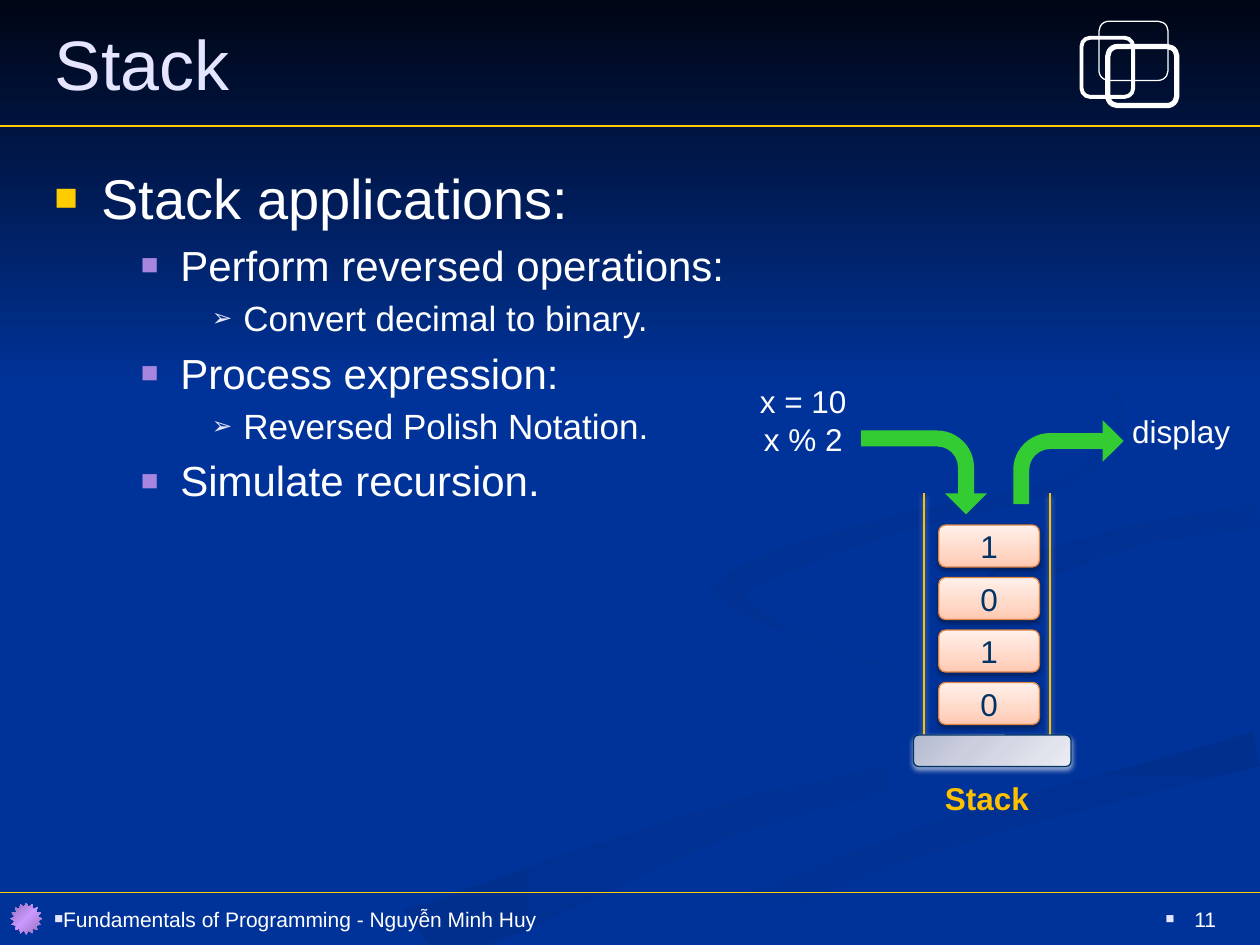
import math

from lxml import etree
from pptx import Presentation
from pptx import util as u
from pptx.dml.color import RGBColor
from pptx.enum import shapes, text
from pptx.oxml import ns

Pt = u.Pt
KIND = shapes.MSO_SHAPE
ALIGN = text.PP_ALIGN
FONT = "Arial"
C = {
    "back": "003399", "night": "000514", "rule": "FFCC00", "white": "FFFFFF",
    "title": "E5E5FF", "lilac": "A886E0", "gold": "FFC000", "green": "33CC33",
    "item": "003366", "item_edge": "DD8443", "base_edge": "003264", "black": "000000",
    "ribbon": "002F8E",
}
STAR = [(0, "926DB6"), (50, "CC99FF"), (100, "926DB6")]
BASE = [(0, "B3B9D0"), (35, "CACEDD"), (100, "EBECF3")]
ITEM = [(0, "FFC8B1"), (35, "FFD8C8"), (100, "FFF0EA")]
RIBBON = [(0, C["ribbon"]), (100, C["back"])]
BASE_SHADOW = (C["white"], 60)
ITEM_SHADOW = (C["black"], 38)

RIBBONS = [
    (RIBBON[::-1], 0, [(414, 331, 0), (412, 340, 2), (470, 369, 1), (545, 395, 2),
                       (570, 415, 6), (522, 441, 8), (412, 470, 10), (238, 539, 20)]),
    (RIBBON, 90, [(719, 428, 10), (597, 460, 8), (510, 487, 8), (386, 538, 10)]),
    (RIBBON, 45, [(719, 295, 7), (645, 307, 6), (571, 335, 9), (595, 357, 0)]),
    (RIBBON, 45, [(549, 168, 0), (609, 197, 1), (641, 238, 2), (606, 276, 4),
                  (507, 301, 5), (421, 334, 7), (448, 360, 0)]),
]
CURVE_STEPS = 8
EMBLEM = [((618, 21.6, 29.5, 33.8), 2.25), ((628, 12.2, 39.5, 33.8), 0.75),
          ((633, 26.6, 39.5, 33.8), 3)]

LEVELS = [
    {"size": 32, "left": 27, "hang": 27, "mark": "■", "mark_color": C["rule"]},
    {"size": 24, "left": 72, "hang": 22.5, "mark": "■", "mark_color": C["lilac"]},
    {"size": 20, "left": 108, "hang": 18, "mark": "➢", "mark_color": C["title"]},
]
OUTLINE = [
    (0, "Stack applications:"),
    (1, "Perform reversed operations:"),
    (2, "Convert decimal to binary."),
    (1, "Process expression:"),
    (2, "Reversed Polish Notation."),
    (1, "Simulate recursion."),
]
FOOTERS = [
    ("11", (534, 510, 168, 30), ALIGN.RIGHT, 16.5),
    ("Fundamentals of Programming - Nguyễn Minh Huy", (24, 510, 498, 30), ALIGN.LEFT, 0),
]
LABELS = [
    ("Stack", (480, 438, 168, 36), C["gold"], True),
    ("x = 10\nx % 2", (420, 216, 78, 48), C["white"], False),
    ("display", (636, 222, 78, 48), C["white"], False),
]
STACK_ITEMS = ["1", "0", "1", "0"]
ITEM_TOP, ITEM_STEP = 300, 30
ARROWS = [((504, 234, 48, 72), 90), ((579, 240, 63, 48), 0)]


def rgb(color):
    return RGBColor.from_string(color)


def sub(parent, tag, **attrs):
    return etree.SubElement(parent, ns.qn(tag), {k: str(v) for k, v in attrs.items()})


def add_gradient(sp, stops, angle):
    sp.fill.solid()
    props = sp._element.spPr
    grad = etree.Element(ns.qn("a:gradFill"), rotWithShape="1")
    stop_list = sub(grad, "a:gsLst")
    for pos, color in stops:
        sub(sub(stop_list, "a:gs", pos=pos * 1000), "a:srgbClr", val=color)
    sub(grad, "a:lin", ang=angle * 60000, scaled=0)
    props.replace(props.find(ns.qn("a:solidFill")), grad)


def set_effect(sp, shadow=None):
    props = sp._element.spPr
    effects = props.find(ns.qn("a:effectLst"))
    if effects is None:
        effects = sub(props, "a:effectLst")
    if shadow:
        color, alpha = shadow
        outer = sub(effects, "a:outerShdw", blurRad=Pt(3.1), dist=Pt(1.6),
                    dir=90 * 60000, rotWithShape=0)
        sub(sub(outer, "a:srgbClr", val=color), "a:alpha", val=alpha * 1000)


def finish(sp, fill=None, angle=0, line=None, width=0.75, shadow=None):
    if isinstance(fill, list):
        add_gradient(sp, fill, angle)
    elif fill:
        sp.fill.solid()
        sp.fill.fore_color.rgb = rgb(fill)
    else:
        sp.fill.background()
    if line:
        sp.line.color.rgb = rgb(line)
        sp.line.width = Pt(width)
    else:
        sp.line.fill.background()
    sp.shadow.inherit = False
    set_effect(sp, shadow)
    return sp


def add_preset(s, kind, box, **look):
    return finish(s.shapes.add_shape(kind, *map(Pt, box)), **look)


def add_line(s, x1, y1, x2, y2, color, shadow=None):
    line = s.shapes.add_connector(shapes.MSO_CONNECTOR.STRAIGHT, *map(Pt, (x1, y1, x2, y2)))
    line.line.color.rgb = rgb(color)
    line.line.width = Pt(0.75)
    set_effect(line, shadow)


def smooth_curve(knots):
    ends = [knots[0], *knots, knots[-1]]
    curve = []
    for a, b, c, d in zip(ends, ends[1:], ends[2:], ends[3:]):
        for t in (i / CURVE_STEPS for i in range(CURVE_STEPS)):
            curve.append(tuple(
                q + t * (r - p + t * (2 * p - 5 * q + 4 * r - n + t * (3 * (q - r) + n - p))) / 2
                for p, q, r, n in zip(a, b, c, d)))
    return curve + [knots[-1]]


def ribbon_outline(knots):
    curve = smooth_curve(knots)
    left, right = [], []
    for before, (x, y, half), after in zip([curve[0]] + curve, curve, curve[1:] + curve[-1:]):
        dx, dy = after[0] - before[0], after[1] - before[1]
        scale = max(half, 0) / math.hypot(dx, dy)
        left.append((x - dy * scale, min(y + dx * scale, 540)))
        right.append((x + dy * scale, min(y - dx * scale, 540)))
    return [(min(x, 720), y) for x, y in left + right[::-1]]


def set_bullet(p, mark, color, left, hang):
    props = p._p.get_or_add_pPr()
    props.set("marL", str(Pt(left)))
    props.set("indent", str(-Pt(hang)))
    sub(sub(props, "a:buClr"), "a:srgbClr", val=color)
    sub(props, "a:buSzPct", val=70000)
    sub(props, "a:buFont", typeface=FONT)
    sub(props, "a:buChar", char=mark)


def style(p, size, color, bold=False, align=ALIGN.LEFT):
    p.alignment = align
    for r in p.runs:
        r.font.name, r.font.size, r.font.bold = FONT, Pt(size), bold
        r.font.color.rgb = rgb(color)


def fill_text(sp, words, size, color, bold=False, align=ALIGN.CENTER, wrap=False):
    tf = sp.text_frame
    tf.text = words
    tf.word_wrap = wrap
    tf.vertical_anchor = text.MSO_ANCHOR.MIDDLE
    for p in tf.paragraphs:
        style(p, size, color, bold, align)
    return tf


def add_backdrop(s):
    s.background.fill.solid()
    s.background.fill.fore_color.rgb = rgb(C["back"])
    for stops, angle, knots in RIBBONS:
        points = ribbon_outline(knots)
        outline = s.shapes.build_freeform(*points[0], scale=Pt(1))
        outline.add_line_segments(points[1:], close=True)
        finish(outline.convert_to_shape(), fill=stops, angle=angle)
    add_preset(s, KIND.RECTANGLE, (0, 0, 720, 222),
               fill=[(0, C["night"]), (100, C["back"])], angle=90)
    for y in (72, 510):
        add_line(s, 0, y, 720, y, C["rule"])
    for box, width in EMBLEM:
        add_preset(s, KIND.FLOWCHART_ALTERNATE_PROCESS, box, line=C["white"], width=width)
    add_preset(s, KIND.STAR_16_POINT, (6, 516, 18, 18), fill=STAR, angle=45)


def add_texts(s):
    title = s.shapes.title
    s.shapes._spTree.append(title._element)
    title.left, title.top, title.width, title.height = map(Pt, (24, 0, 678, 72))
    fill_text(title, "Stack", 40, C["title"], align=ALIGN.LEFT, wrap=True)

    tf = s.shapes.add_textbox(*map(Pt, (24, 90, 678, 408))).text_frame
    tf.word_wrap = True
    for i, (depth, words) in enumerate(OUTLINE):
        p = tf.add_paragraph() if i else tf.paragraphs[0]
        level = LEVELS[depth]
        p.text = words
        p.level = depth
        set_bullet(p, level["mark"], level["mark_color"], level["left"], level["hang"])
        if i:
            p.space_before = Pt(level["size"] * 0.2)
        style(p, level["size"], C["white"])

    for words, box, align, hang in FOOTERS:
        sp = s.shapes.add_textbox(*map(Pt, box))
        tf = fill_text(sp, words, 12, C["white"], align=align, wrap=True)
        set_bullet(tf.paragraphs[0], "■", C["title"], hang, hang)


def add_stack(s):
    for x in (528, 600):
        add_line(s, x, 420, x, 282, C["gold"], BASE_SHADOW)
    add_preset(s, KIND.ROUNDED_RECTANGLE, (522, 420, 90, 18), fill=BASE, angle=45,
               line=C["base_edge"], shadow=BASE_SHADOW)
    for i, digit in enumerate(STACK_ITEMS):
        sp = add_preset(s, KIND.ROUNDED_RECTANGLE, (536.4, ITEM_TOP + i * ITEM_STEP, 57.6, 24),
                        fill=ITEM, angle=270, line=C["item_edge"], shadow=ITEM_SHADOW)
        fill_text(sp, digit, 18, C["item"])
    for box, turn in ARROWS:
        arrow = add_preset(s, KIND.BENT_ARROW, box, fill=C["green"])
        arrow.rotation = turn
        for i, value in enumerate((0.19, 0.25, 0.25, 0.44)):
            arrow.adjustments[i] = value
    for words, box, color, bold in LABELS:
        sp = add_preset(s, KIND.ROUNDED_RECTANGLE, box)
        fill_text(sp, words, 18, color, bold)


prs = Presentation()
prs.slide_width, prs.slide_height = Pt(720), Pt(540)
s = prs.slides.add_slide(prs.slide_layouts[5])
add_backdrop(s)
add_texts(s)
add_stack(s)
prs.save("out.pptx")
